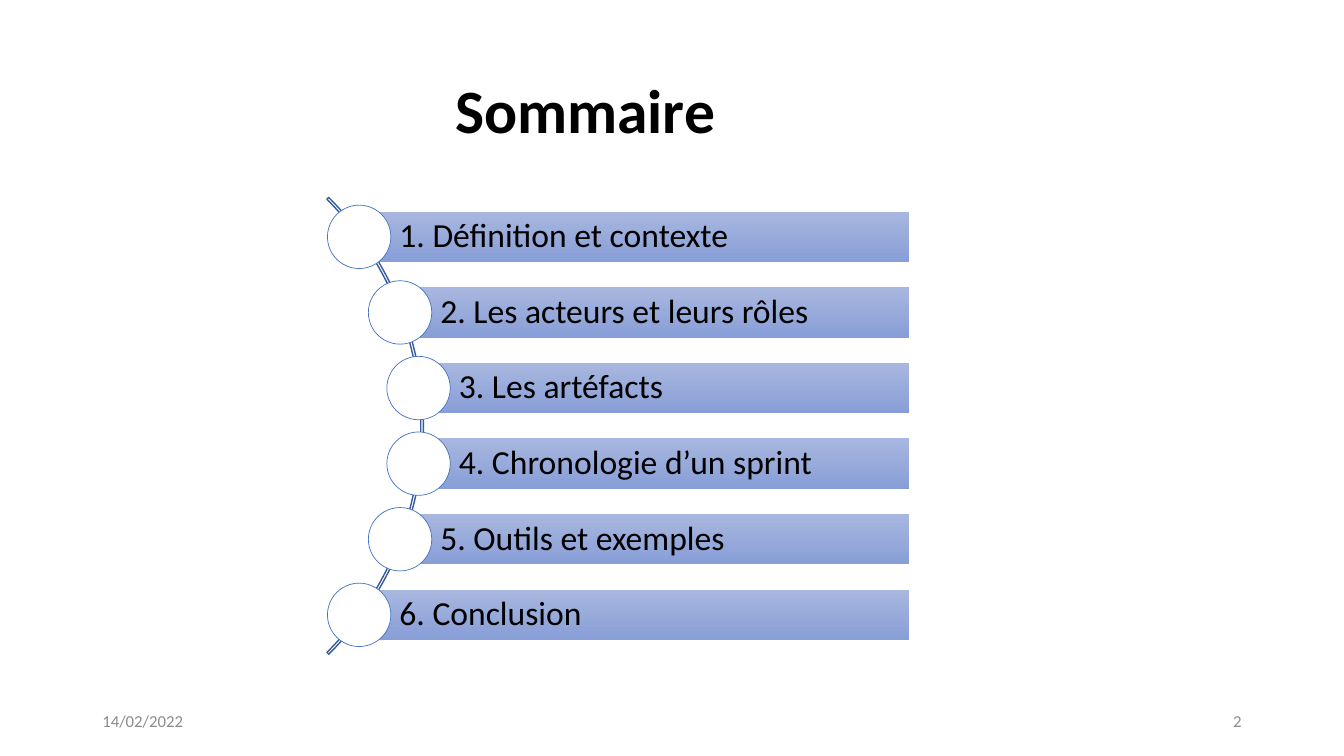
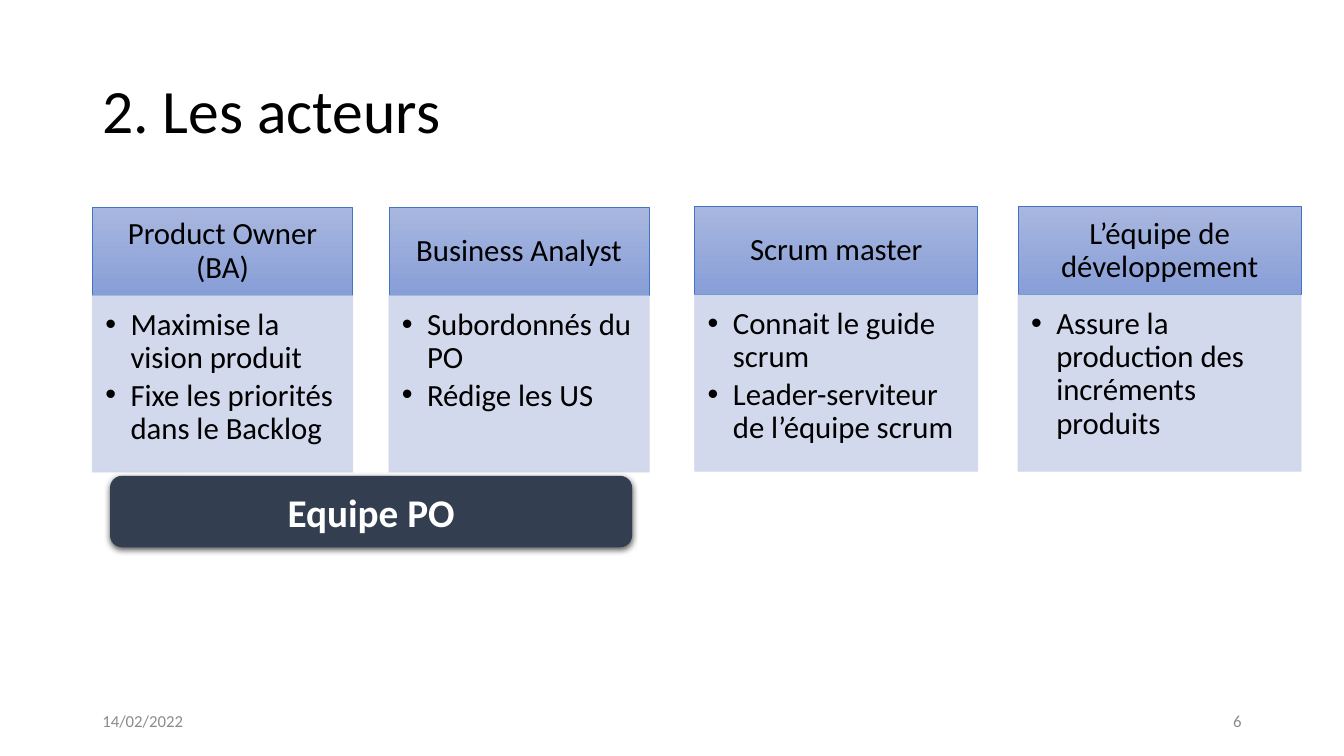
import dataclasses
import math
import typing

import lxml.etree
import pptx
import pptx.dml.color
import pptx.enum.shapes
import pptx.enum.text
import pptx.oxml.ns
import pptx.util

RGB = pptx.dml.color.RGBColor
KIND = pptx.enum.shapes.MSO_SHAPE
ALIGN = pptx.enum.text.PP_ALIGN
ANCHOR = pptx.enum.text.MSO_ANCHOR
qn = pptx.oxml.ns.qn

# Colours and font
BLACK = RGB(0, 0, 0)
WHITE = RGB(255, 255, 255)
GREY = RGB(0x8C, 0x8C, 0x8C)
BLUE = RGB(0x44, 0x72, 0xC4)
DEEP = RGB(0x36, 0x5B, 0x9D)
NAVY = RGB(0x33, 0x3F, 0x50)
PALE = RGB(0xCF, 0xD5, 0xEA)
BAND = (RGB(0xA8, 0xB7, 0xDF), RGB(0x88, 0x9E, 0xD7))
FONT = "Calibri"

# Grid of square cells: 32 columns by 18 rows
COLS, ROWS = 32, 18
CELL = pptx.util.Inches(7.5) / ROWS


def span(cells: float) -> int:
    return round(cells * CELL)


@dataclasses.dataclass(frozen=True)
class Box:
    left: float
    top: float
    width: float
    height: float

    def place(self) -> tuple[int, ...]:
        return tuple(span(n) for n in dataclasses.astuple(self))


@dataclasses.dataclass(frozen=True)
class Style:
    size: float
    color: RGB = BLACK
    bold: bool = False
    align: ALIGN = ALIGN.LEFT
    anchor: ANCHOR = ANCHOR.MIDDLE
    inset: tuple[float, ...] = (0.24, 0.12, 0.24, 0.12)
    lead: float = 0.9
    after: float = 0
    bullet: bool = False


@dataclasses.dataclass(frozen=True)
class Card:
    head: str
    points: tuple[str, ...]


@dataclasses.dataclass(frozen=True)
class Group:
    left: float
    top: float
    width: float
    step: float
    cards: tuple[Card, ...]


TITLE = Style(44)
STRONG = Style(44, bold=True)
DATE = Style(12, GREY, lead=1)
PAGE = dataclasses.replace(DATE, align=ALIGN.RIGHT)
ITEM = Style(24, inset=(0.96, 0.17, 0.17, 0.17))
HEAD = Style(22, align=ALIGN.CENTER, inset=(0.41, 0.24, 0.41, 0.24))
BODY = Style(22, anchor=ANCHOR.TOP, inset=(0.31, 0.31, 0.41, 0.46),
             after=3, bullet=True)
BADGE = Style(28, WHITE, bold=True, align=ALIGN.CENTER, lead=1)


def assign(target: typing.Any, values: dict[str, typing.Any]) -> None:
    for name, value in values.items():
        setattr(target, name, value)


# Text
def mark(para: typing.Any) -> None:
    props = para._p.get_or_add_pPr()
    props.set("marL", str(span(0.6)))
    props.set("indent", str(-span(0.6)))
    lxml.etree.SubElement(props, qn("a:buFont")).set("typeface", "Arial")
    lxml.etree.SubElement(props, qn("a:buChar")).set("char", "•")


def write(shape: typing.Any, lines: tuple[str, ...], style: Style) -> None:
    frame = shape.text_frame
    sides = ("margin_left", "margin_top", "margin_right", "margin_bottom")
    assign(frame, dict(zip(sides, map(span, style.inset))))
    assign(frame, {"word_wrap": True, "vertical_anchor": style.anchor})
    frame.text = "\n".join(lines)
    for para in frame.paragraphs:
        assign(para, {"alignment": style.align, "line_spacing": style.lead,
                      "space_after": pptx.util.Pt(style.after)})
        assign(para.runs[0].font, {"name": FONT, "bold": style.bold,
                                   "size": pptx.util.Pt(style.size)})
        para.runs[0].font.color.rgb = style.color
        if style.bullet:
            mark(para)


def label(slide: typing.Any, box: Box, text: str, style: Style) -> None:
    write(slide.shapes.add_textbox(*box.place()), (text,), style)


# Shapes
def draw(slide: typing.Any, kind: KIND, box: Box,
         fill: RGB | tuple[RGB, RGB] | None = None,
         line: RGB | None = None, width: float = 0.5) -> typing.Any:
    shape = slide.shapes.add_shape(kind, *box.place())
    shape.shadow.inherit = False
    if fill is None:
        shape.fill.background()
    elif isinstance(fill, RGB):
        shape.fill.solid()
        shape.fill.fore_color.rgb = fill
    else:
        shape.fill.gradient()
        shape.fill.gradient_angle = 270
        for stop, color in zip(shape.fill.gradient_stops, fill):
            stop.color.rgb = color
    if line is None:
        shape.line.fill.background()
    else:
        shape.line.color.rgb = line
        shape.line.width = pptx.util.Pt(width)
    return shape


def fade(node: typing.Any, share: int) -> None:
    for color in node.iter(qn("a:srgbClr")):
        lxml.etree.SubElement(color, qn("a:alpha")).set("val", str(share * 1000))


def shade(shape: typing.Any) -> None:
    effects = shape.element.spPr.find(qn("a:effectLst"))
    outer = lxml.etree.SubElement(effects, qn("a:outerShdw"), {
        "blurRad": str(pptx.util.Pt(4.5)), "dist": str(pptx.util.Pt(1.5)),
        "dir": "5400000", "algn": "ctr", "rotWithShape": "0"})
    lxml.etree.SubElement(outer, qn("a:srgbClr")).set("val", str(BLACK))
    fade(outer, 63)


# Title and footer shared by the slides
def start(deck: typing.Any, title: str, left: float, style: Style,
          page: int) -> typing.Any:
    slide = deck.slides.add_slide(deck.slide_layouts[6])
    label(slide, Box(left, 0.96, 27.6, 3.48), title, style)
    label(slide, Box(2.2, 16.68, 7.2, 0.96), "14/02/2022", DATE)
    label(slide, Box(22.6, 16.68, 7.2, 0.96), str(page), PAGE)
    return slide


# Agenda: bars whose discs follow an arc
ITEMS = ("1. Définition et contexte", "2. Les acteurs et leurs rôles",
         "3. Les artéfacts", "4. Chronologie d’un sprint",
         "5. Outils et exemples", "6. Conclusion")
MID_X, MID_Y = 2.39, 10.14
ARC, TRACK = 7.69, 7.63
PITCH, BAR, DISC, END = 1.8, 1.2, 1.51, 21.65


def agenda(slide: typing.Any) -> None:
    arc = draw(slide, KIND.BLOCK_ARC,
               Box(MID_X - ARC, MID_Y - ARC, 2 * ARC, 2 * ARC),
               line=DEEP, width=1)
    for place, value in enumerate((189, 27, 0.004)):
        arc.adjustments[place] = value
    for row, text in enumerate(ITEMS):
        shift = (row - (len(ITEMS) - 1) / 2) * PITCH
        x = MID_X + math.sqrt(TRACK ** 2 - shift ** 2)
        y = MID_Y + shift
        bar = draw(slide, KIND.RECTANGLE,
                   Box(x, y - BAR / 2, END - x, BAR), BAND)
        write(bar, (text,), ITEM)
        draw(slide, KIND.OVAL,
             Box(x - DISC / 2, y - DISC / 2, DISC, DISC), WHITE, BLUE)


# Actors: two groups of cards
GROUPS = (
    Group(2.2, 4.94, 6.2, 7.06, (
        Card("Product Owner (BA)", ("Maximise la vision produit",
                                    "Fixe les priorités dans le Backlog")),
        Card("Business Analyst", ("Subordonnés du PO", "Rédige les US")))),
    Group(16.54, 4.92, 6.74, 7.7, (
        Card("Scrum master", ("Connait le guide scrum",
                              "Leader-serviteur de l’équipe scrum")),
        Card("L’équipe de développement",
             ("Assure la production des incréments produits",)))),
)
TOP, DEPTH = 2.1, 4.2


def actors(slide: typing.Any) -> None:
    for group in GROUPS:
        for col, card in enumerate(group.cards):
            x = group.left + col * group.step
            head = draw(slide, KIND.RECTANGLE,
                        Box(x, group.top, group.width, TOP), BAND, BLUE)
            write(head, (card.head,), HEAD)
            body = draw(slide, KIND.RECTANGLE,
                        Box(x, group.top + TOP, group.width, DEPTH), PALE, PALE)
            fade(body.element.spPr, 90)
            write(body, card.points, BODY)
    badge = draw(slide, KIND.ROUNDED_RECTANGLE,
                 Box(2.62, 11.33, 12.43, 1.7), NAVY)
    shade(badge)
    write(badge, ("Equipe PO",), BADGE)


deck = pptx.Presentation()
assign(deck, {"slide_width": span(COLS), "slide_height": span(ROWS)})
agenda(start(deck, "Sommaire", 10.6, STRONG, 2))
actors(start(deck, "2. Les acteurs", 2.2, TITLE, 6))
deck.save("out.pptx")
